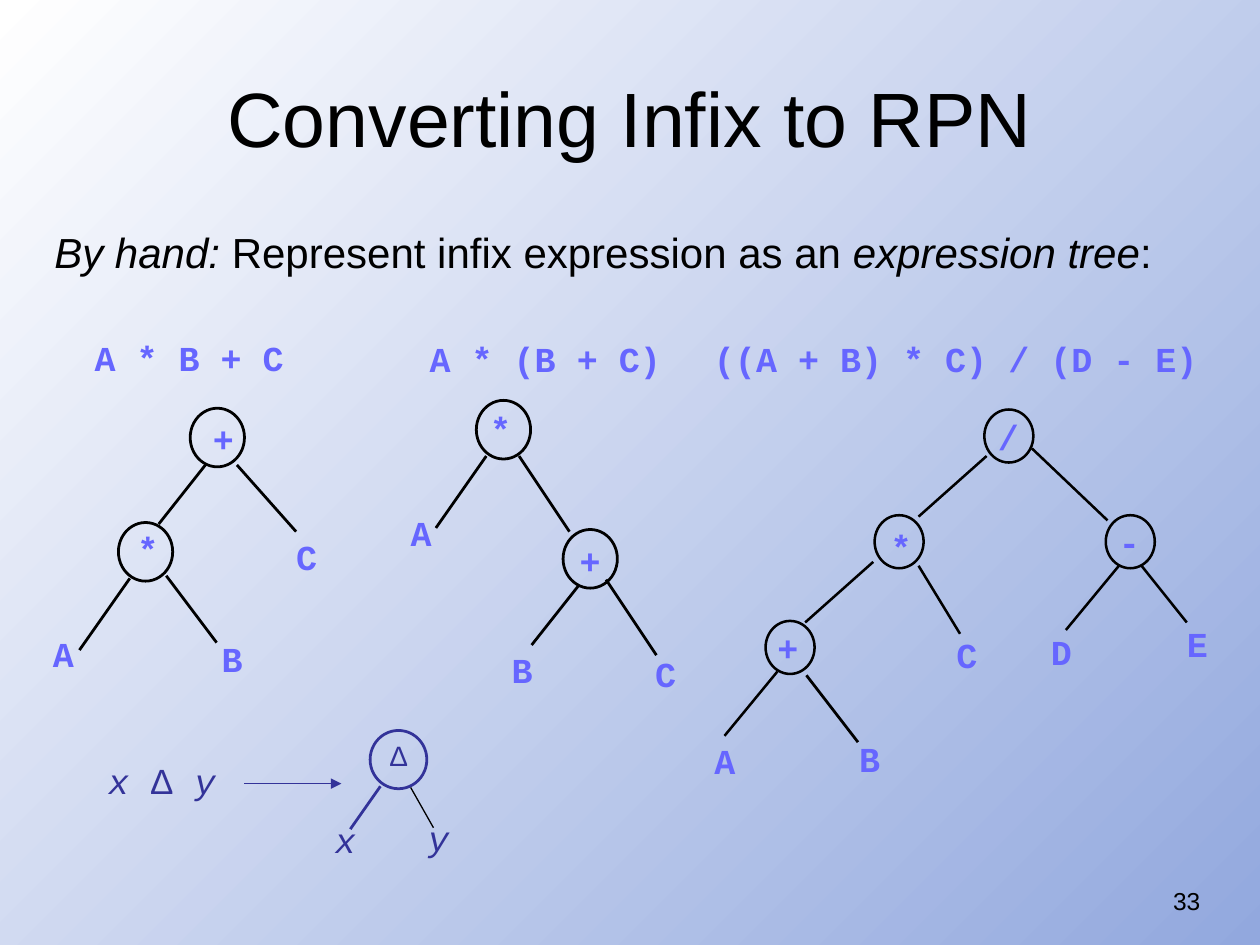
"""Build the slide on converting infix to RPN with expression trees."""
from pptx import Presentation
from pptx.dml.color import RGBColor
from pptx.enum.shapes import MSO_CONNECTOR, MSO_SHAPE
from pptx.enum.text import MSO_ANCHOR, MSO_AUTO_SIZE, PP_ALIGN
from pptx.oxml.ns import qn
from pptx.util import Pt
from lxml.etree import SubElement

BLACK, NAVY, LILAC = "000000", "333399", "6666FF"
hue = RGBColor.from_string

deck = Presentation()
deck.slide_width, deck.slide_height = Pt(720), Pt(540)
slide = deck.slides.add_slide(deck.slide_layouts[5])
shapes = slide.shapes

fill = slide.background.fill
fill.gradient()
fill.gradient_angle = 315
for stop, color, spot in zip(fill.gradient_stops, ("FFFFFF", "92A8DE"), (0, 1)):
    stop.color.rgb = hue(color)
    stop.position = spot


def write(place, runs, color, font, shape=None, pad=True, wrap=True, align=PP_ALIGN.LEFT, before=0):
    """Fill a text box, or the given shape, with formatted runs."""
    left, top, width, height = map(Pt, place)
    if shape is None:
        shape = shapes.add_textbox(left, top, width, height)
    for name, value in dict(left=left, top=top, width=width, height=height).items():
        setattr(shape, name, value)
    side, edge = (7.2, 3.6) if pad else (0, 0)
    frame = shape.text_frame
    look = dict(margin_left=Pt(side), margin_right=Pt(side), margin_top=Pt(edge),
                margin_bottom=Pt(edge), word_wrap=wrap)
    for name, value in look.items():
        setattr(frame, name, value)
    para = frame.paragraphs[0]
    para.alignment = align
    para.space_before = Pt(before)
    for text, extra in runs:
        run = para.add_run()
        run.text = text
        run.font.color.rgb = hue(color)
        for name, value in {**font, **extra}.items():
            setattr(run.font, name, value)
    return frame


def link(ends, color, weight):
    """Draw a straight line without a shadow."""
    line = shapes.add_connector(MSO_CONNECTOR.STRAIGHT, *map(Pt, ends))
    line.line.color.rgb = hue(color)
    line.line.width = Pt(weight)
    SubElement(line._element.spPr, qn("a:effectLst"))
    return line


code = dict(name="Courier New", size=Pt(20), bold=True)
slant = dict(name="Courier New", size=Pt(20), italic=True)
upright = dict(name="Arial", italic=False)
italic = dict(italic=True)

title = write((36, 21.6, 648, 90), [("Converting Infix to RPN", {})], BLACK,
              dict(name="Arial", size=Pt(44)), shape=shapes.title, align=PP_ALIGN.CENTER)
title.vertical_anchor = MSO_ANCHOR.MIDDLE
write((525, 502.5, 168, 37.5), [("33", {})], BLACK, dict(name="Arial", size=Pt(14)),
      align=PP_ALIGN.RIGHT)
write((24, 126, 678, 36),
      [("By hand:", italic), (" Represent infix expression as an ", {}),
       ("expression tree", italic), (":", {})],
      BLACK, dict(name="Arial", size=Pt(24)), before=15)

labels = [
    ("A * B + C", 54, 192, 120), ("A * (B + C)", 245.5, 193, 145),
    ("((A + B) * C) / (D - E)", 408, 193, 312),
]
signs = [
    ("+", 121.7, 238.3), ("C", 169.2, 306), ("*", 78.5, 301.7), ("A", 30.2, 361.4),
    ("B", 126.7, 364.3),
    ("*", 280.1, 232.6), ("A", 234.7, 292.3), ("+", 331.2, 308.2), ("B", 292.3, 370.8),
    ("C", 374.4, 373),
    ("/", 570.2, 237.6), ("*", 509, 300.2), ("-", 639.4, 297.4), ("+", 444.2, 357.8),
    ("C", 546.5, 362.2), ("D", 600.5, 360), ("E", 678.2, 355.7), ("A", 408.2, 422.6),
    ("B", 491, 421.2),
]
for text, left, top, width in labels + [(*sign, 12) for sign in signs]:
    frame = write((left, top, width, 24), [(text, {})], LILAC, code, pad=False, wrap=width > 300)
    frame.auto_size = MSO_AUTO_SIZE.SHAPE_TO_FIT_TEXT

rings = [
    (31, 33.5, BLACK, 1.59, [(108.7, 233.3), (67.7, 298.6), (272.2, 228.8), (321.8, 302.6)]),
    (28, 30.3, BLACK, 1.45, [(562.5, 234), (499.8, 294.4), (631.9, 294.4), (437.5, 354.8)]),
    (32.4, 33.3, NAVY, 1.59, [(211.5, 417.4)]),
]
for width, height, color, weight, spots in rings:
    for left, top in spots:
        ring = shapes.add_shape(MSO_SHAPE.OVAL, Pt(left), Pt(top), Pt(width), Pt(height))
        ring.shadow.inherit = False
        ring.fill.background()
        ring.line.color.rgb = hue(color)
        ring.line.width = Pt(weight)

edges = [
    (BLACK, 1.59, [
        (117.4, 265.7, 90.7, 299.5), (135.4, 265.7, 169.2, 303.8),
        (74.2, 330.5, 45.4, 371.5), (95, 329, 123.8, 367.2),
        (277.9, 260.6, 249.1, 301.7), (296.6, 260.6, 325.4, 303.8),
        (330.5, 334.8, 303.8, 368.6), (346.3, 331.2, 375.1, 374.4),
        (460.8, 385.9, 490.3, 424.1)]),
    (BLACK, 1.45, [
        (563.8, 260.6, 524.9, 295.2), (589.7, 256.3, 632.9, 297.4),
        (499, 321.1, 460.1, 355.7), (524.9, 323.3, 548.6, 362.2),
        (639.4, 323.3, 609.1, 360), (652.3, 323.3, 678.2, 355.7),
        (444.2, 383.8, 414, 420.5)]),
    (NAVY, 1.59, [(217.4, 449.3, 200.2, 473.8)]),
    (BLACK, 0.75, [(234.7, 450, 247.7, 473)]),
]
for color, weight, group in edges:
    for ends in group:
        link(ends, color, weight)

arrow = link((139.7, 447.8, 195.1, 447.8), NAVY, 0.75)
SubElement(arrow.line._get_or_add_ln(), qn("a:tailEnd"), type="triangle")

delta = write((222.5, 422, 10, 19.4), [("Δ", {})], NAVY, dict(name="Arial", size=Pt(16)),
              pad=False, wrap=False)
delta.auto_size = MSO_AUTO_SIZE.SHAPE_TO_FIT_TEXT
for left, top, width, runs in [
    (184.3, 464.4, 27.4, [("x", {})]),
    (237.6, 463, 27.4, [("y", {})]),
    (54.7, 430.6, 89.3, [("x ", {}), ("Δ", upright), (" y", {})]),
]:
    write((left, top, width, 31.7), runs, NAVY, slant, before=12.5)

deck.save("out.pptx")
